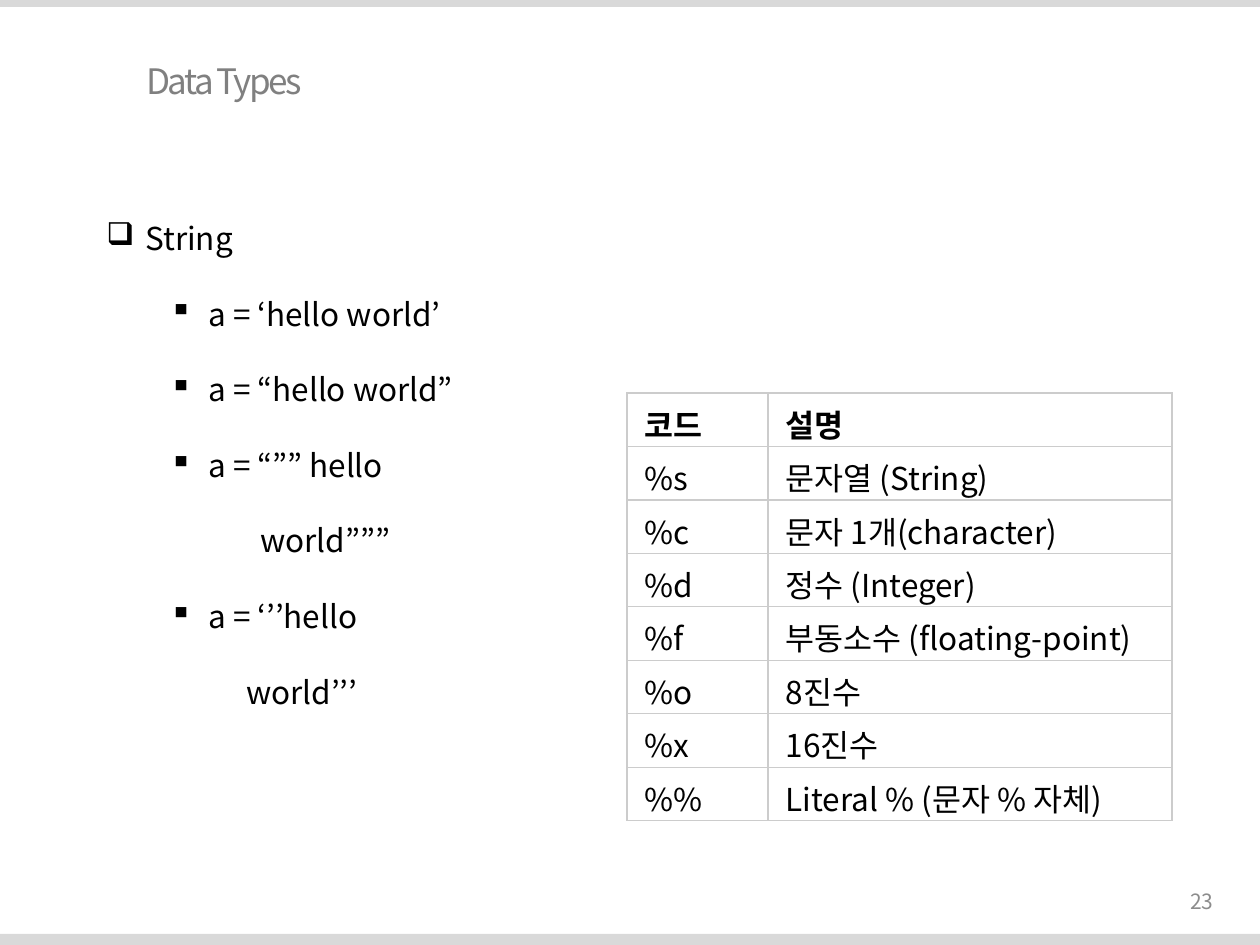
from dataclasses import dataclass

from lxml import etree
from pptx import Presentation
from pptx import util as u
from pptx.dml.color import RGBColor
from pptx.enum import shapes, text
from pptx.oxml import ns


@dataclass(frozen=True)
class Theme:
    font: str = "Noto Sans CJK KR"
    bar: str = "D9D9D9"
    title: str = "808080"
    number: str = "8C8C8C"
    body: str = "000000"
    cell: str = "FFFFFF"
    border: str = "CCCCCC"
    title_pt: int = 20
    body_pt: int = 18
    number_pt: int = 12


@dataclass(frozen=True)
class Box:
    x: int
    y: int
    w: int
    h: int


@dataclass(frozen=True)
class Line:
    words: str
    margin: int
    bullet: str = ""
    level: int = 1


THEME = Theme()
PX_PER_INCH = 126
HANGING = 39

BARS = [Box(0, 0, 1260, 7), Box(0, 934, 1260, 11)]
TITLE = Box(134, 42, 1063, 77)
NUMBER = Box(1116, 876, 110, 50)
BODY = Box(94, 175, 655, 547)
TABLE = Box(627, 393, 545, 428)
COLUMNS = [141, 404]

LINES = [
    Line("String", HANGING, "❑", 0),
    Line("a = ‘hello world’", 102, "▪"),
    Line("a = “hello world”", 102, "▪"),
    Line("a = “”” hello", 102, "▪"),
    Line("world”””", 154),
    Line("a = ‘’’hello", 102, "▪"),
    Line("world’’’", 140),
]

CODES = [
    ("코드", "설명"),
    ("%s", "문자열 (String)"),
    ("%c", "문자 1개(character)"),
    ("%d", "정수 (Integer)"),
    ("%f", "부동소수 (floating-point)"),
    ("%o", "8진수"),
    ("%x", "16진수"),
    ("%%", "Literal % (문자 % 자체)"),
]


def px(n: int) -> u.Emu:
    return u.Emu(round(n * 914400 / PX_PER_INCH))


def place(box: Box) -> tuple:
    return px(box.x), px(box.y), px(box.w), px(box.h)


def child(parent, tag: str, **attrs: str):
    return etree.SubElement(parent, ns.qn(tag), attrs)


def add_run(p, words: str, size: int, color: str, bold: bool = False):
    r = p.add_run()
    r.text = words
    r.font.size = u.Pt(size)
    r.font.bold = bold
    r.font.color.rgb = RGBColor.from_string(color)
    r.font.name = THEME.font
    child(r.font._element, "a:ea", typeface=THEME.font)
    return r


def add_bar(s, box: Box) -> None:
    sp = s.shapes.add_shape(shapes.MSO_SHAPE.RECTANGLE, *place(box))
    sp.shadow.inherit = False
    sp.fill.solid()
    sp.fill.fore_color.rgb = RGBColor.from_string(THEME.bar)
    sp.line.fill.background()


def add_text_frame(s, box: Box, anchor=text.MSO_ANCHOR.MIDDLE):
    tf = s.shapes.add_textbox(*place(box)).text_frame
    tf.word_wrap = True
    tf.vertical_anchor = anchor
    return tf


def add_line(p, line: Line) -> None:
    """Write one double-spaced line, with a hanging bullet if it has one."""
    p.level = line.level
    p.line_spacing = 2.0
    pPr = p._p.get_or_add_pPr()
    pPr.set("marL", str(px(line.margin)))
    pPr.set("indent", str(px(-HANGING if line.bullet else 0)))
    if line.bullet:
        child(pPr, "a:buChar", char=line.bullet)
    else:
        child(pPr, "a:buNone")
    add_run(p, line.words, THEME.body_pt, THEME.body)


def style_cell(cell) -> None:
    cell.margin_left = cell.margin_right = u.Inches(0.14)
    cell.margin_top = cell.margin_bottom = u.Inches(0.06)
    cell.vertical_anchor = text.MSO_ANCHOR.MIDDLE
    tcPr = cell._tc.get_or_add_tcPr()
    for side in ("a:lnL", "a:lnR", "a:lnT", "a:lnB"):
        ln = child(tcPr, side, w=str(u.Pt(0.75)))
        child(child(ln, "a:solidFill"), "a:srgbClr", val=THEME.border)
    cell.fill.solid()
    cell.fill.fore_color.rgb = RGBColor.from_string(THEME.cell)


def add_code_table(s) -> None:
    table = s.shapes.add_table(len(CODES), len(COLUMNS), *place(TABLE)).table
    table.first_row = table.horz_banding = False
    for column, width in zip(table.columns, COLUMNS):
        column.width = px(width)
    for i, row in enumerate(CODES):
        for j, words in enumerate(row):
            cell = table.cell(i, j)
            style_cell(cell)
            add_run(cell.text_frame.paragraphs[0], words,
                    THEME.body_pt, THEME.body, bold=i == 0)


def main() -> None:
    prs = Presentation()
    prs.slide_width, prs.slide_height = px(1260), px(945)
    s = prs.slides.add_slide(prs.slide_layouts[6])

    for bar in BARS:
        add_bar(s, bar)

    p = add_text_frame(s, TITLE).paragraphs[0]
    r = add_run(p, "Data Types", THEME.title_pt, THEME.title)
    r.font._element.set("spc", "-150")

    p = add_text_frame(s, NUMBER).paragraphs[0]
    p.alignment = text.PP_ALIGN.RIGHT
    add_run(p, "23", THEME.number_pt, THEME.number)

    tf = add_text_frame(s, BODY, text.MSO_ANCHOR.TOP)
    for i, line in enumerate(LINES):
        add_line(tf.add_paragraph() if i else tf.paragraphs[0], line)

    add_code_table(s)
    prs.save("out.pptx")


if __name__ == "__main__":
    main()
